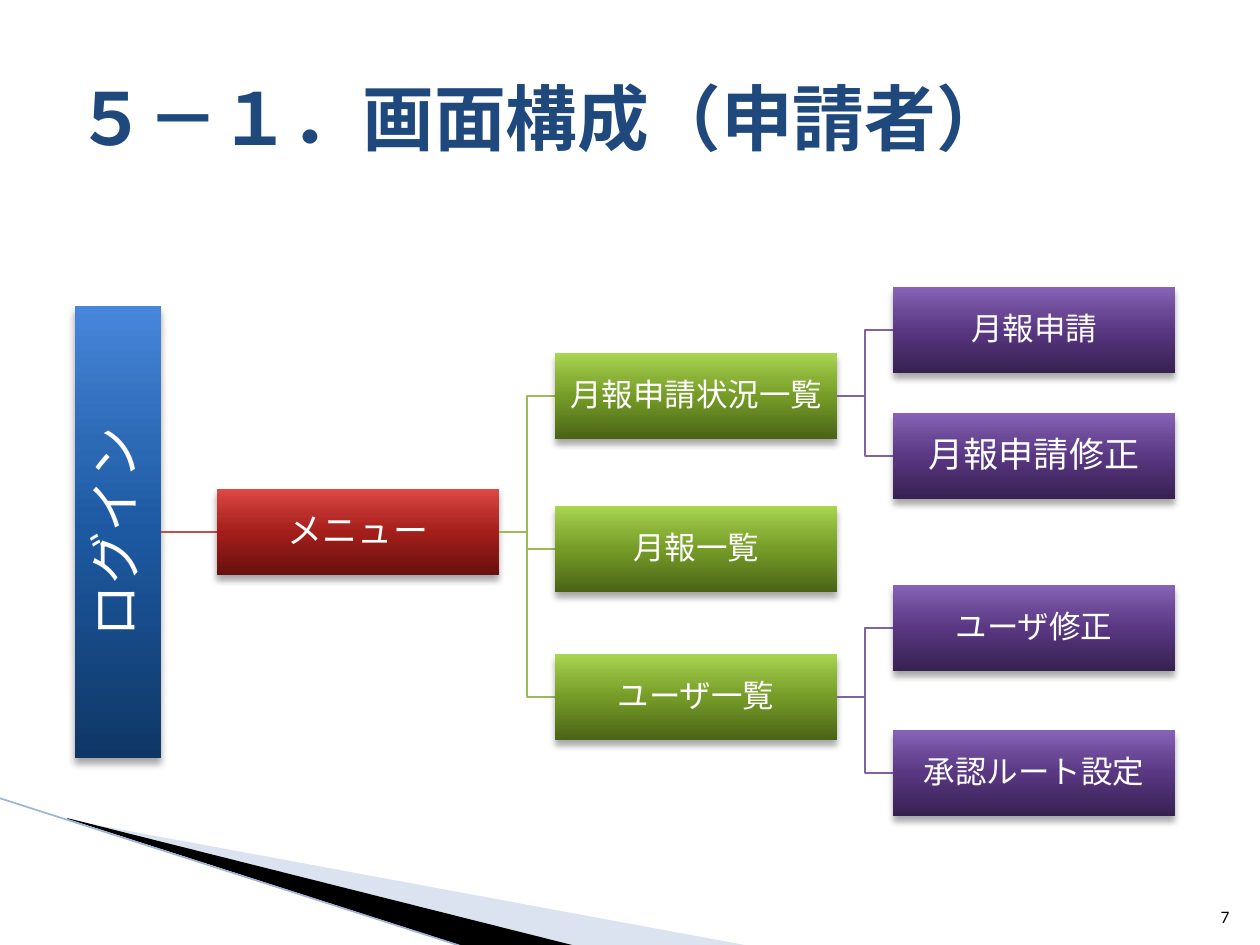
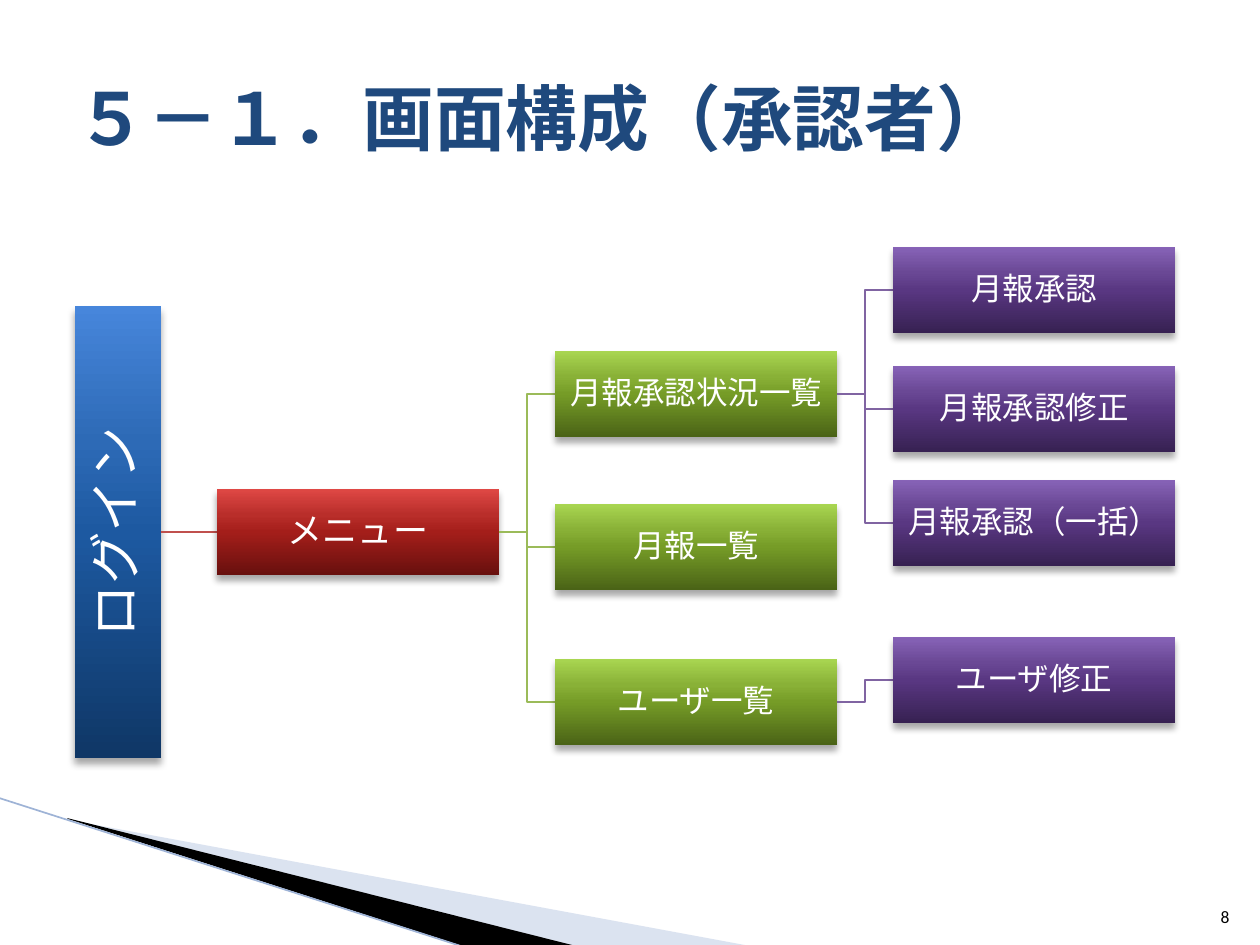
"""Build the screen structure slides for applicants and approvers."""
from collections import namedtuple

from lxml.etree import SubElement
from pptx import Presentation
from pptx.dml.color import RGBColor
from pptx.enum.lang import MSO_LANGUAGE_ID
from pptx.enum.shapes import MSO_CONNECTOR, MSO_SHAPE
from pptx.enum.text import MSO_ANCHOR, MSO_AUTO_SIZE, PP_ALIGN
from pptx.oxml.ns import qn
from pptx.util import Emu, Pt

PX = 914400 / 126
WHITE = RGBColor(0xFF, 0xFF, 0xFF)
BLACK = RGBColor(0x00, 0x00, 0x00)
NAVY = RGBColor(0x1F, 0x49, 0x7D)
PALE_BLUE = RGBColor(0xA7, 0xB9, 0xDB)
EDGE_BLUE = RGBColor(0x9E, 0xB3, 0xD6)
RED = RGBColor(0xC0, 0x50, 0x4D)
GREEN = RGBColor(0x9B, 0xBB, 0x59)
PURPLE = RGBColor(0x80, 0x64, 0xA2)

STOPS = (0, 50, 70, 100)
BLUE_SHADES = (RGBColor(0x0F, 0x37, 0x66), RGBColor(0x1D, 0x59, 0xA1),
               RGBColor(0x2D, 0x6A, 0xB6), RGBColor(0x47, 0x86, 0xDB))
RED_SHADES = (RGBColor(0x68, 0x10, 0x0E), RGBColor(0xA4, 0x1E, 0x1A),
              RGBColor(0xB9, 0x2E, 0x2A), RGBColor(0xDF, 0x48, 0x45))
GREEN_SHADES = (RGBColor(0x4A, 0x63, 0x16), RGBColor(0x76, 0x9C, 0x27),
                RGBColor(0x89, 0xB1, 0x37), RGBColor(0xA9, 0xD6, 0x51))
PURPLE_SHADES = (RGBColor(0x37, 0x21, 0x52), RGBColor(0x59, 0x37, 0x82),
                 RGBColor(0x6A, 0x48, 0x95), RGBColor(0x87, 0x63, 0xB7))

BOX_WIDTH, BOX_HEIGHT = 282, 86
GAP = 56
LOGIN_CENTER, LOGIN_LENGTH = 118, 452
ROOT_MIDDLE = 532
MENU_LEFT = LOGIN_CENTER + BOX_HEIGHT // 2 + GAP

Level = namedtuple("Level", "line shades")
LEVELS = (Level(RED, RED_SHADES), Level(GREEN, GREEN_SHADES), Level(PURPLE, PURPLE_SHADES))
Screen = namedtuple("Screen", "name middle children size", defaults=((), 18))

APPLICANT_SCREENS = (
    Screen("月報申請状況一覧", 396, (
        Screen("月報申請", 330),
        Screen("月報申請修正", 456, size=20))),
    Screen("月報一覧", 549),
    Screen("ユーザ一覧", 697, (
        Screen("ユーザ修正", 628),
        Screen("承認ルート設定", 773))),
)
APPROVER_SCREENS = (
    Screen("月報承認状況一覧", 394, (
        Screen("月報承認", 290),
        Screen("月報承認修正", 409),
        Screen("月報承認（一括）", 523))),
    Screen("月報一覧", 547),
    Screen("ユーザ一覧", 702, (
        Screen("ユーザ修正", 680),)),
)


def px(length):
    return Emu(round(length * PX))


def write(frame, text, *, size, color, font="Calibri", bold=False, align=PP_ALIGN.LEFT,
          anchor=MSO_ANCHOR.MIDDLE, inset=None, spacing=None):
    frame.word_wrap = True
    frame.auto_size = MSO_AUTO_SIZE.NONE
    frame.vertical_anchor = anchor
    if inset is not None:
        frame.margin_left = frame.margin_right = px(inset)
        frame.margin_top = frame.margin_bottom = px(inset)
    para = frame.paragraphs[0]
    para.alignment = align
    if spacing:
        para.line_spacing = spacing
    span = para.add_run()
    span.text = text
    span.font.name = font
    span.font.size = Pt(size)
    span.font.bold = bold
    span.font.color.rgb = color
    span.font.language_id = MSO_LANGUAGE_ID.JAPANESE


class Board:
    """Hold the deck, its style and the page being drawn."""

    def __init__(self):
        self.deck = Presentation()
        self.deck.slide_width, self.deck.slide_height = px(1260), px(945)
        self.page = None

    def start(self, title, number):
        self.page = self.deck.slides.add_slide(self.deck.slide_layouts[5])
        heading = self.page.shapes.title
        heading.left, heading.top, heading.width, heading.height = map(px, (63, 38, 1134, 157))
        write(heading.text_frame, title, size=41, color=NAVY, font="Cambria", bold=True)
        self.wedge(((69, 820), (750, 946), (575, 946), (69, 819)), PALE_BLUE, opacity=40)
        self.wedge(((67, 818), (576, 946), (469, 948), (68, 819)), BLACK)
        self.link((-1, 798), (467, 948), EDGE_BLUE, width=0.95)
        box = self.page.shapes.add_textbox(px(1192), px(883), px(50), px(50))
        write(box.text_frame, str(number), size=10, color=BLACK,
              align=PP_ALIGN.RIGHT, anchor=MSO_ANCHOR.BOTTOM)

    def wedge(self, points, color, opacity=100):
        builder = self.page.shapes.build_freeform(*points[0], scale=PX)
        builder.add_line_segments(points[1:], close=True)
        shape = builder.convert_to_shape()
        shape.shadow.inherit = False
        shape.line.fill.background()
        shape.fill.solid()
        shape.fill.fore_color.rgb = color
        if opacity < 100:
            tint = shape.element.spPr.find(qn("a:solidFill"))[0]
            SubElement(tint, qn("a:alpha"), val=str(opacity * 1000))

    def link(self, start, end, color, width=0.75):
        kind = MSO_CONNECTOR.ELBOW if width == 0.75 and start[1] != end[1] else MSO_CONNECTOR.STRAIGHT
        connector = self.page.shapes.add_connector(kind, *map(px, start + end))
        connector.line.color.rgb = color
        connector.line.width = Pt(width)
        SubElement(connector.element.spPr, qn("a:effectLst"))

    def box(self, text, center, middle, shades, *, size, width=BOX_WIDTH, turn=0, inset=1):
        shape = self.page.shapes.add_shape(
            MSO_SHAPE.RECTANGLE, px(center - width / 2), px(middle - BOX_HEIGHT / 2),
            px(width), px(BOX_HEIGHT))
        shape.rotation = turn
        shape.line.fill.background()
        self.shade(shape, shades)
        self.drop_shadow(shape)
        write(shape.text_frame, text, size=size, color=WHITE, align=PP_ALIGN.CENTER,
              inset=inset, spacing=0.9)

    def shade(self, shape, shades):
        shape.fill.gradient()
        shape.fill.gradient_angle = 90
        gradient = shape.element.spPr.find(qn("a:gradFill"))
        gradient.set("rotWithShape", "0")
        stops = gradient.find(qn("a:gsLst"))
        for stop in list(stops):
            stops.remove(stop)
        for position, color in zip(STOPS, shades):
            stop = SubElement(stops, qn("a:gs"), pos=str(position * 1000))
            SubElement(stop, qn("a:srgbClr"), val=str(color))

    def drop_shadow(self, shape):
        shape.shadow.inherit = False
        effects = shape.element.spPr.find(qn("a:effectLst"))
        shadow = SubElement(effects, qn("a:outerShdw"), blurRad=str(Pt(4)), dist=str(Pt(3)),
                            dir="5400000", rotWithShape="0")
        color = SubElement(shadow, qn("a:srgbClr"), val=str(BLACK))
        SubElement(color, qn("a:alpha"), val="35000")

    def branch(self, screen, parent_middle, depth=0):
        left = MENU_LEFT + depth * (BOX_WIDTH + GAP)
        level = LEVELS[depth]
        self.link((left - GAP, parent_middle), (left, screen.middle), level.line)
        self.box(screen.name, left + BOX_WIDTH / 2, screen.middle, level.shades, size=screen.size)
        for child in screen.children:
            self.branch(child, screen.middle, depth + 1)

    def screen_map(self, title, number, screens):
        self.start(title, number)
        self.box("ログイン", LOGIN_CENTER, ROOT_MIDDLE, BLUE_SHADES, size=30,
                 width=LOGIN_LENGTH, turn=270, inset=3)
        self.branch(Screen("メニュー", ROOT_MIDDLE, screens, 20), ROOT_MIDDLE)


def main():
    board = Board()
    board.screen_map("５－１．画面構成（申請者）", 7, APPLICANT_SCREENS)
    board.screen_map("５－１．画面構成（承認者）", 8, APPROVER_SCREENS)
    board.deck.save("out.pptx")


if __name__ == "__main__":
    main()
